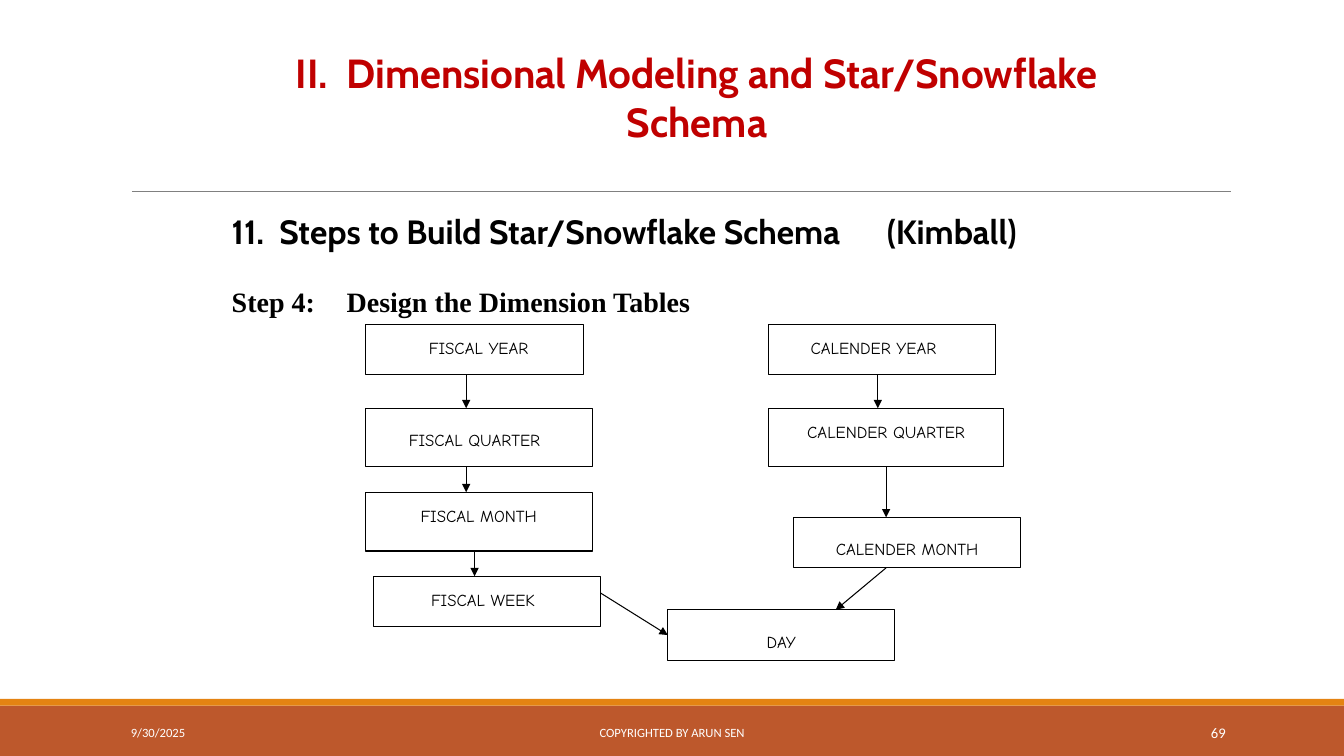
from lxml import etree
from pptx import Presentation
from pptx.dml.color import RGBColor
from pptx.enum.shapes import MSO_CONNECTOR, MSO_SHAPE
from pptx.enum.text import MSO_ANCHOR, MSO_AUTO_SIZE, PP_ALIGN
from pptx.oxml.ns import qn
from pptx.util import Inches, Pt

RECT, STRAIGHT = MSO_SHAPE.RECTANGLE, MSO_CONNECTOR.STRAIGHT
LEFT, CENTER, RIGHT = PP_ALIGN.LEFT, PP_ALIGN.CENTER, PP_ALIGN.RIGHT
TOP, MIDDLE = MSO_ANCHOR.TOP, MSO_ANCHOR.MIDDLE
NO_AUTOFIT = MSO_AUTO_SIZE.NONE

COLORS = {"title": "C00000", "ink": "000000", "rule": "808080",
          "band": "BD582C", "stripe": "E48312", "footer": "FFFFFF"}

# The slide is a grid of 160 columns by 90 rows, 12 to the inch
COLS, ROWS = 160, 90
CHART_COL, CHART_ROW = 43.5, 38.6  # top left of the hierarchy chart

# Level: box (col, row, cols, rows), label (col, row, cols), in chart cells
LEVELS = {
    "FISCAL YEAR": ((0, 0, 26, 6), (2, 1, 23)),
    "FISCAL QUARTER": ((0, 10, 27, 7), (2, 12, 22)),
    "FISCAL MONTH": ((0, 20, 27, 7), (2, 21, 23)),
    "FISCAL WEEK": ((1, 30, 27, 6), (2, 31, 24)),
    "CALENDER YEAR": ((48, 0, 27, 6), (49, 1, 23)),
    "CALENDER QUARTER": ((48, 10, 28, 7), (50, 11, 24)),
    "DAY": ((36, 34, 27, 6), (37, 36, 25)),
    "CALENDER MONTH": ((51, 23, 27, 6), (52, 25, 25)),
}
ARROWS = [
    (12, 6, 12, 10), (12, 17, 12, 20), (13, 27, 13, 30), (28, 32, 36, 37),
    (61, 6, 61, 10), (62, 17, 62, 23), (62, 29, 56, 34),
]


def cells(*counts):
    return [Inches(count / 12) for count in counts]


def color(name):
    return RGBColor.from_string(COLORS[name])


def style(paragraph, font, size, ink, bold=False, align=LEFT):
    paragraph.alignment = align
    for run in paragraph.runs:
        run.font.name, run.font.size, run.font.bold = font, Pt(size), bold
        run.font.color.rgb = color(ink)


def add_rect(slide, area, fill=None, line=None):
    rect = slide.shapes.add_shape(RECT, *cells(*area))
    rect.shadow.inherit = False
    if fill:
        rect.fill.solid()
        rect.fill.fore_color.rgb = color(fill)
    else:
        rect.fill.background()
    if line:
        rect.line.color.rgb = color(line)
        rect.line.width = Pt(0.75)
    else:
        rect.line.fill.background()


def add_line(slide, ends, ink, width, arrow=False):
    line = slide.shapes.add_connector(STRAIGHT, *cells(*ends))
    line.line.color.rgb = color(ink)
    line.line.width = Pt(width)
    if arrow:
        etree.SubElement(line.line._get_or_add_ln(), qn("a:tailEnd"), type="triangle")
    etree.SubElement(line._element.spPr, qn("a:effectLst"))


def add_text(slide, area, text, font, size, ink, align=LEFT, anchor=TOP):
    frame = slide.shapes.add_textbox(*cells(*area)).text_frame
    frame.word_wrap = True
    frame.vertical_anchor = anchor
    frame.text = text
    style(frame.paragraphs[0], font, size, ink, align=align)
    return frame


def add_tab(paragraph, inches):
    tabs = etree.SubElement(paragraph._p.get_or_add_pPr(), qn("a:tabLst"))
    etree.SubElement(tabs, qn("a:tab"), pos=str(Inches(inches)), algn="l")


def add_title(slide):
    title = slide.shapes.title
    title.left, title.top, title.width, title.height = cells(32, 4, 102, 15)
    frame = title.text_frame
    frame.text = "II.  Dimensional Modeling and Star/Snowflake Schema"
    frame.word_wrap = True
    frame.auto_size = NO_AUTOFIT
    frame.vertical_anchor = MIDDLE
    style(frame.paragraphs[0], "Cabin", 29, "title", True, CENTER)


def add_headings(slide):
    frame = add_text(slide, (26.4, 24.5, 112.2, 14.2),
                     "11.  Steps to Build Star/Snowflake Schema \t(Kimball)",
                     "Cabin", 24, "ink")
    heading = frame.paragraphs[0]
    add_tab(heading, 6.5)
    style(heading, "Cabin", 24, "ink", True)
    step = frame.add_paragraph()
    step.text = "Step 4:\tDesign the Dimension Tables"
    step.space_before = Pt(24)
    add_tab(step, 1.14)
    style(step, "Times New Roman", 20, "ink", True)


def add_hierarchy(slide):
    for level, (box, label) in LEVELS.items():
        col, row, *size = box
        add_rect(slide, (CHART_COL + col, CHART_ROW + row, *size), line="ink")
        col, row, width = label
        add_text(slide, (CHART_COL + col, CHART_ROW + row, width, 3.6),
                 level, "Comic Neue", 12, "ink", CENTER)
    for col1, row1, col2, row2 in ARROWS:
        add_line(slide, (CHART_COL + col1, CHART_ROW + row1,
                         CHART_COL + col2, CHART_ROW + row2), "ink", 0.75, True)


def add_footer(slide):
    for col, width, text, size, align in [
        (14.4, 32.4, "9/30/2025", 9, LEFT),
        (48.4, 63.2, "COPYRIGHTED BY ARUN SEN", 9, CENTER),
        (130, 17.1, "69", 10.5, RIGHT),
    ]:
        add_text(slide, (col, 84.8, width, 4.8), text, "Calibri", size,
                 "footer", align, MIDDLE)


def main():
    prs = Presentation()
    prs.slide_width, prs.slide_height = cells(COLS, ROWS)
    slide = prs.slides.add_slide(prs.slide_layouts[5])

    # Bottom bands and the rule under the title
    add_rect(slide, (0, 84, COLS, 6), fill="band")
    add_rect(slide, (0, 83.2, COLS, 0.8), fill="stripe")
    add_line(slide, (15.7, 22.8, 146.5, 22.8), "rule", 0.5)

    # Content
    add_title(slide)
    add_headings(slide)
    add_hierarchy(slide)
    add_footer(slide)
    prs.save("out.pptx")


if __name__ == "__main__":
    main()
